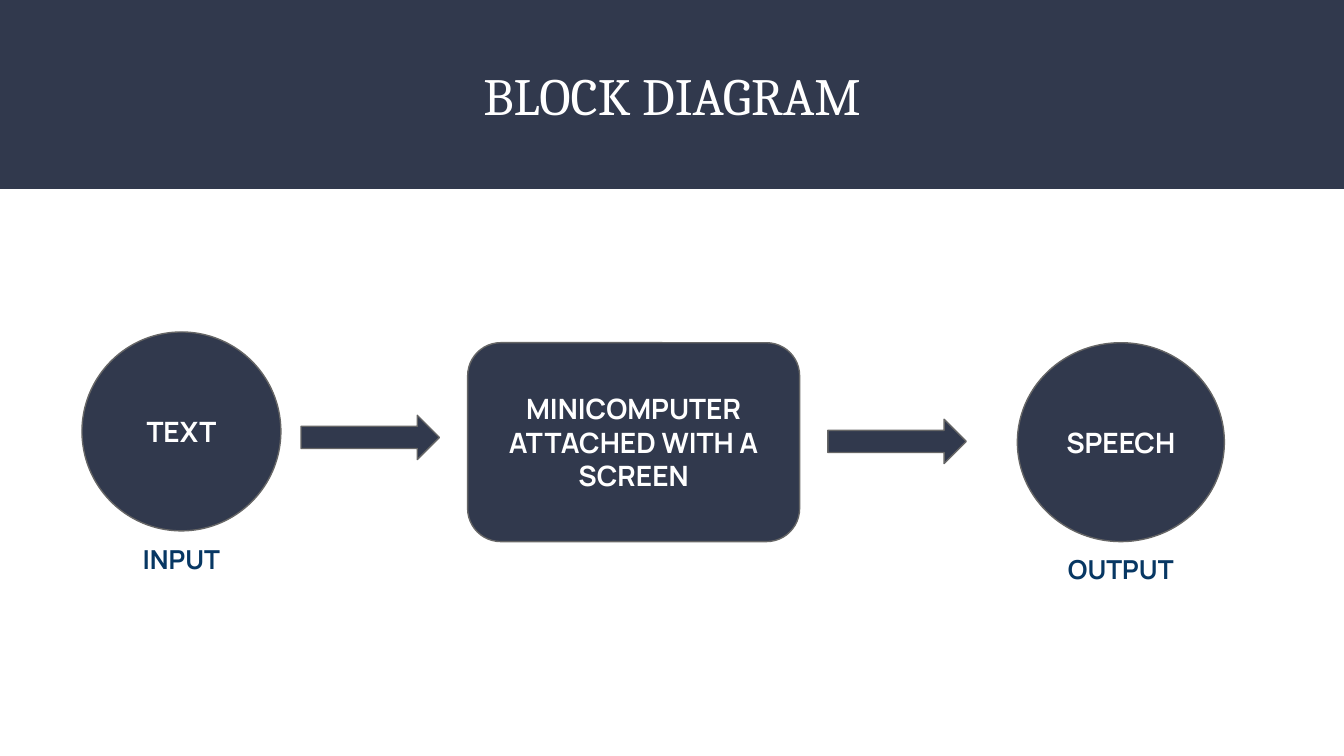
from pptx import Presentation
from pptx.dml.color import RGBColor
from pptx.enum.shapes import MSO_SHAPE
from pptx.enum.text import MSO_ANCHOR, PP_ALIGN
from pptx.util import Inches, Pt

NAVY, GREY, BLUE, WHITE = "31394D", "666666", "073763", "FFFFFF"
WIDTH = 10
HEIGHT = WIDTH * 9 / 16
BAND_H = HEIGHT / 4
NODE_H = 1.48
ARROW_W, ARROW_H = 1.03, 0.33
LABEL_W, LABEL_H = 1.03, 0.39

TITLE = "BLOCK DIAGRAM"
# shape, text, label below, left, top, width
NODES = [
    (MSO_SHAPE.OVAL, "TEXT", "INPUT", 0.61, 2.47, 1.48),
    (MSO_SHAPE.ROUNDED_RECTANGLE, "MINICOMPUTER ATTACHED WITH A SCREEN", None,
     3.48, 2.55, 2.47),
    (MSO_SHAPE.OVAL, "SPEECH", "OUTPUT", 7.57, 2.55, 1.54),
]
ARROWS = [(2.24, 3.09), (6.16, 3.12)]  # left, top


def rgb(value):
    return RGBColor.from_string(value)


def box(*lengths):
    return [Inches(v) for v in lengths]


def write(sp, text, size, font, color, bold=False, anchor=MSO_ANCHOR.TOP):
    tf = sp.text_frame
    tf.word_wrap = True
    tf.vertical_anchor = anchor
    tf.margin_left = tf.margin_right = Inches(0.1)
    tf.margin_top = tf.margin_bottom = Inches(0.1)
    p = tf.paragraphs[0]
    p.text = text
    p.alignment = PP_ALIGN.CENTER
    p.font.size, p.font.name, p.font.bold = Pt(size), font, bold
    p.font.color.rgb = rgb(color)


def add_block(slide, kind, *place, outlined=True):
    sp = slide.shapes.add_shape(kind, *box(*place))
    sp.shadow.inherit = False
    sp.fill.solid()
    sp.fill.fore_color.rgb = rgb(NAVY)
    if outlined:
        sp.line.color.rgb = rgb(GREY)
        sp.line.width = Pt(0.75)
    else:
        sp.line.fill.background()
    return sp


prs = Presentation()
prs.slide_width, prs.slide_height = box(WIDTH, HEIGHT)
slide = prs.slides.add_slide(prs.slide_layouts[5])

# Title on its band
title = slide.shapes.title
title.left, title.top, title.width, title.height = box(0.34, 0.37, 9.32, 0.86)
write(title, TITLE, 28, "Cambria", WHITE)
band = add_block(slide, MSO_SHAPE.RECTANGLE, 0, 0, WIDTH, BAND_H, outlined=False)
title._element.addprevious(band._element)

# Blocks with the labels centred below them
for kind, text, label, left, top, width in NODES:
    sp = add_block(slide, kind, left, top, width, NODE_H)
    write(sp, text, 15, "Manrope", WHITE, True, MSO_ANCHOR.MIDDLE)
    if label:
        tb = slide.shapes.add_textbox(
            *box(left + (width - LABEL_W) / 2, top + NODE_H - 0.01,
                 LABEL_W, LABEL_H))
        write(tb, label, 14, "Manrope", BLUE, True)

# Arrows between the blocks
for left, top in ARROWS:
    add_block(slide, MSO_SHAPE.RIGHT_ARROW, left, top, ARROW_W, ARROW_H)

prs.save("out.pptx")
